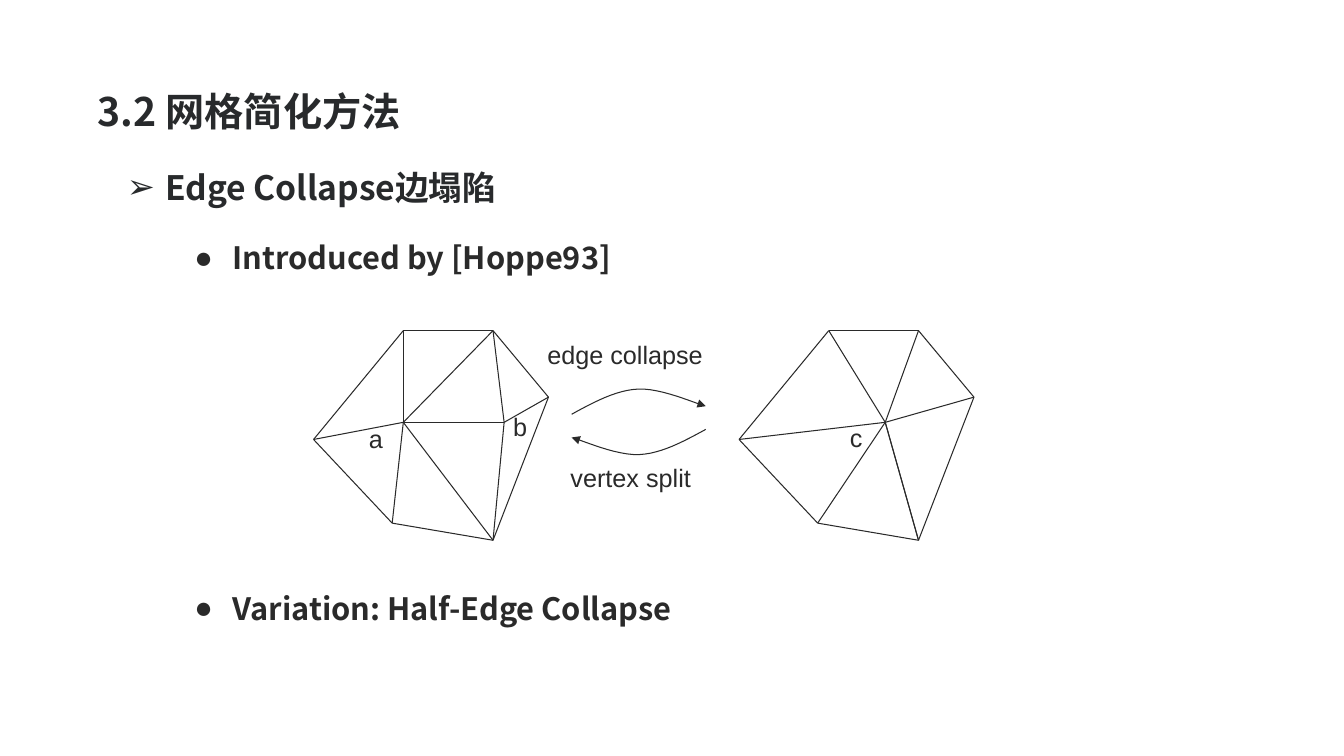
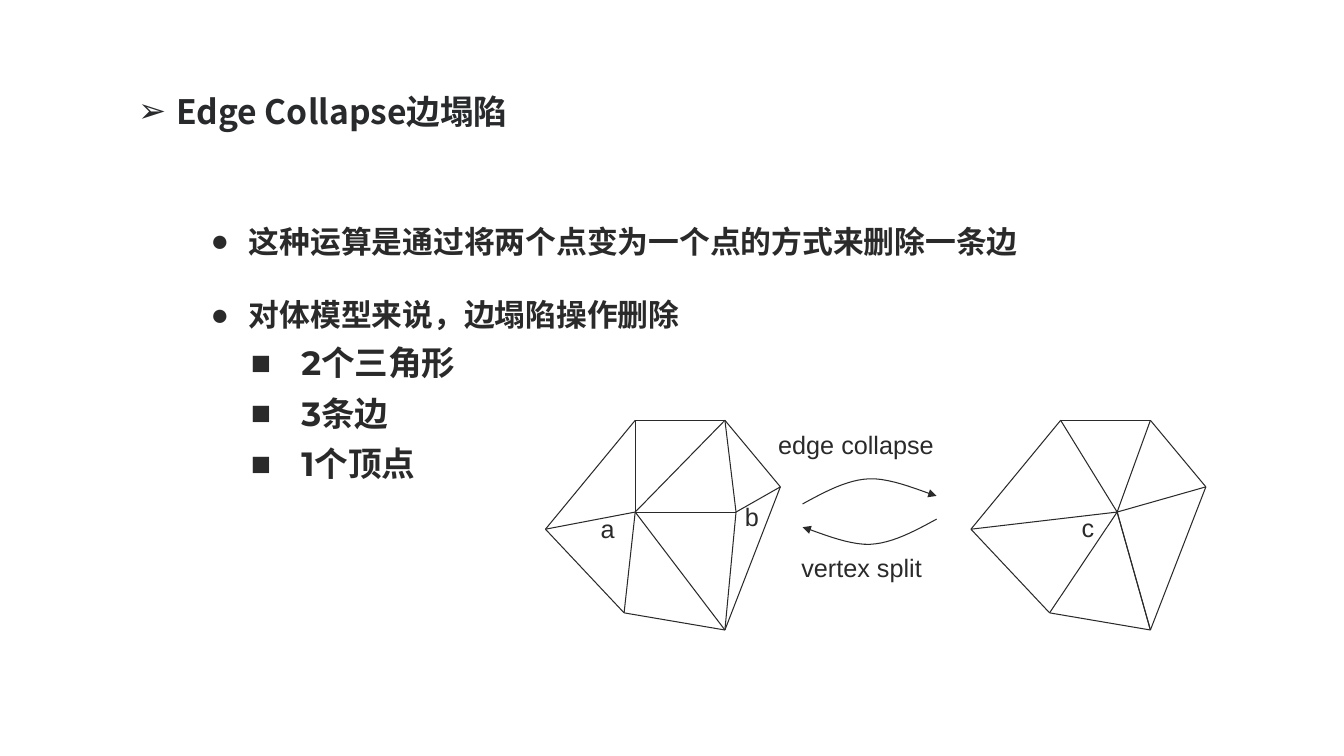
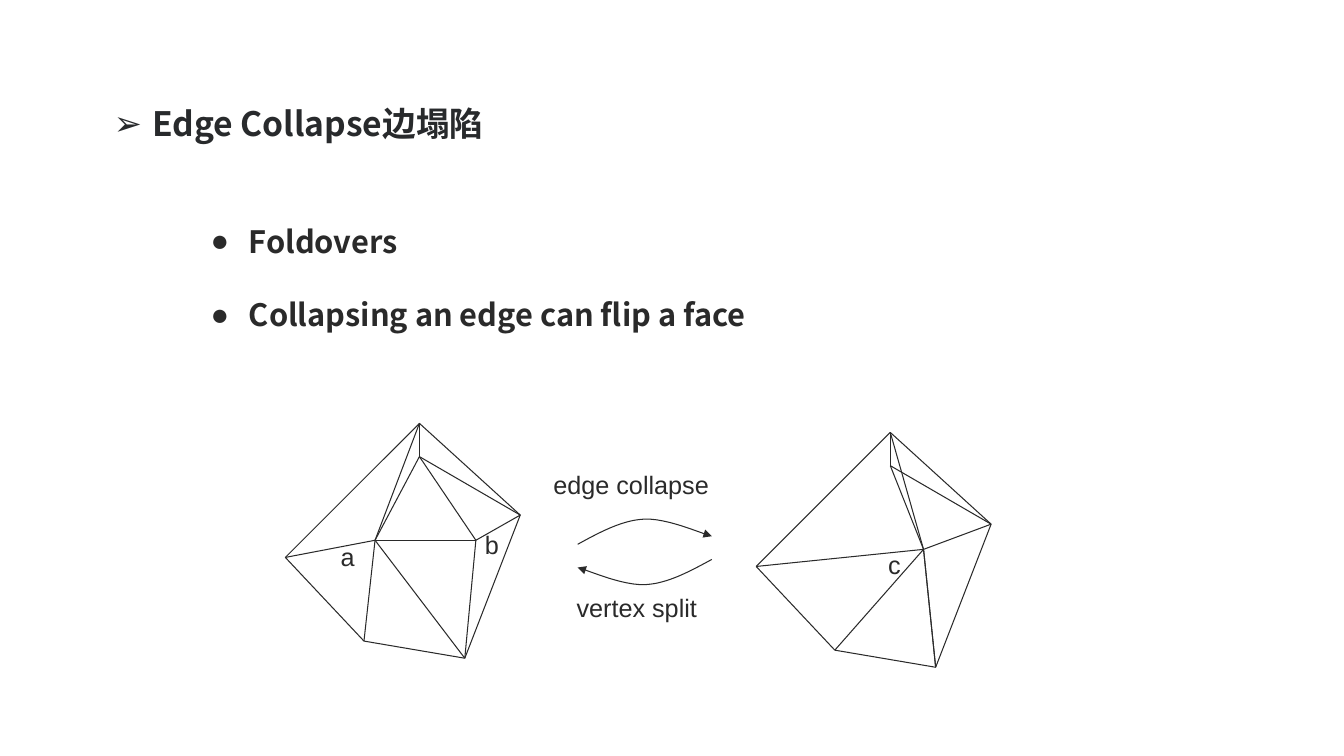
from lxml import etree
from pptx import Presentation
from pptx import util as u
from pptx.dml.color import RGBColor
from pptx.enum import shapes, text
from pptx.oxml.ns import qn

COLORS = {"title": "282A2C", "ink": "2A2A2A"}
CJK = "Noto Sans CJK SC"
HEADING = "Edge Collapse边塌陷"

# font, size, bold, colour, line spacing, space before, bullet, left margin, hanging indent
STYLES = {
    "title": (CJK, 28, True, "title", 0.9, 0, None, 0, 0),
    "heading": (CJK, 24, True, "title", 0.9, 18, "➢", 0.78, 0.38),
    "subheading": (CJK, 24, True, "title", 0.8, 18, "➢", 0.78, 0.38),
    "tight_point": (CJK, 22, True, "ink", 1.2, 18, "●", 1.45, 0.38),
    "point": (CJK, 22, True, "ink", 1.3, 18, "●", 1.45, 0.38),
    "detail": ("Montserrat", 24, True, "ink", 0.9, 10, "■", 1.97, 0.5),
    "label": ("Arial", 18, False, "ink", 1.0, 0, None, 0, 0),
}
TITLE_SIZE, BODY_SIZE = (11.5, 1.45), (11.5, 4.76)

# Mesh vertices, in inches from the mesh origin
RIM = {"w": (0, 1.08), "sw": (0.78, 1.91), "se": (1.78, 2.08), "e": (2.33, 0.66),
       "a": (0.89, 0.91), "b": (1.89, 0.91)}
CONVEX = {**RIM, "nw": (0.89, 0), "ne": (1.78, 0), "c": (1.45, 0.91)}
FOLDED = {**RIM, "nw": (1.33, -0.25), "ne": (1.33, 0.08), "c": (1.66, 0.91)}
EDGES = [edge.split("-") for edge in
         "w-nw w-a nw-a b-ne nw-ne ne-e b-e a-sw w-sw sw-se se-b se-e a-b a-ne a-se".split()]
FOLDED_EDGES = EDGES + [["nw", "e"]]
VERTEX_LABELS = {"a": (-0.44, -0.04, 0.34), "b": (-0.01, -0.16, 0.34), "c": (-0.45, -0.05, 0.33)}

# Two cubic segments; the return arrow is the same curve turned half round
COLLAPSE_CURVE = [(0, 0.26), (0.22, 0.14), (0.44, 0.02), (0.66, 0.01),
                  (0.89, 0), (1.22, 0.15), (1.33, 0.18)]
SPLIT_CURVE = [(1.33 - x, 0.67 - y) for x, y in COLLAPSE_CURVE]
STEPS = 12

SLIDES = [
    {"texts": [((0.92, 0.4), TITLE_SIZE, [("title", "3.2 网格简化方法")]),
               ((0.76, 1.63), (11.5, 1.5), [("subheading", HEADING),
                                            ("tight_point", "Introduced by [Hoppe93]")]),
               ((0.76, 5.64), (11.5, 0.8), [("point", "Variation: Half-Edge Collapse")])],
     "vertices": CONVEX, "edges": EDGES,
     "before": (3.11, 3.28), "after": (7.33, 3.28), "arrows": (5.67, 3.85)},
    {"texts": [((0.92, 0.4), TITLE_SIZE, [("heading", HEADING)]),
               ((0.92, 2), BODY_SIZE, [("point", "这种运算是通过将两个点变为一个点的方式来删除一条边"),
                                       ("point", "对体模型来说，边塌陷操作删除"),
                                       ("detail", "2个三角形"),
                                       ("detail", "3条边"),
                                       ("detail", "1个顶点")])],
     "vertices": CONVEX, "edges": EDGES,
     "before": (5.41, 4.17), "after": (9.63, 4.17), "arrows": (7.96, 4.74)},
    {"texts": [((0.68, 0.52), TITLE_SIZE, [("heading", HEADING)]),
               ((0.92, 2), BODY_SIZE, [("point", "Foldovers"),
                                       ("point", "Collapsing an edge can flip a face")])],
     "vertices": FOLDED, "edges": FOLDED_EDGES,
     "before": (2.83, 4.45), "after": (7.5, 4.54), "arrows": (5.73, 5.14)},
]


def add_text(s, at, size, lines):
    """Add a text box of (style name, wording) lines; titles are centred vertically."""
    sp = s.shapes.add_textbox(*map(u.Inches, at + size))
    tf = sp.text_frame
    first_style = lines[0][0]
    tf.word_wrap = first_style != "label"
    if first_style in ("title", "heading"):
        tf.vertical_anchor = text.MSO_ANCHOR.MIDDLE
    if first_style != "label":
        inset = u.Inches(0.05 if size == TITLE_SIZE else 0.1)
        tf.margin_left = tf.margin_right = tf.margin_top = tf.margin_bottom = inset
    for i, (style, wording) in enumerate(lines):
        font, pt, bold, color, spacing, before, bullet, margin, hang = STYLES[style]
        p = tf.add_paragraph() if i else tf.paragraphs[0]
        p.text = wording
        p.line_spacing = spacing
        if i:
            p.space_before = u.Pt(before)
        if bullet:
            pPr = p._p.get_or_add_pPr()
            pPr.set("marL", str(u.Inches(margin)))
            pPr.set("indent", str(-u.Inches(hang)))
            etree.SubElement(pPr, qn("a:buFont"), typeface="Arial")
            etree.SubElement(pPr, qn("a:buChar"), char=bullet)
        r = p.runs[0]
        r.font.name, r.font.size, r.font.bold = font, u.Pt(pt), bold
        r.font.color.rgb = RGBColor.from_string(COLORS[color])
        if style != "label":
            etree.SubElement(r._r.get_or_add_rPr(), qn("a:ea"), typeface=CJK)


def style_line(sp, arrow=False):
    sp.line.width = u.Pt(0.75)
    sp.line.color.rgb = RGBColor.from_string(COLORS["ink"])
    spPr = sp._element.spPr
    if arrow:
        etree.SubElement(spPr.find(qn("a:ln")), qn("a:tailEnd"), type="triangle")
    etree.SubElement(spPr, qn("a:effectLst"))


prs = Presentation()
prs.slide_width, prs.slide_height = u.Inches(13.33), u.Inches(7.5)

for spec_ in SLIDES:
    s = prs.slides.add_slide(prs.slide_layouts[6])
    for at, size, lines in spec_["texts"]:
        add_text(s, at, size, lines)

    # Collapsing merges a and b into c; duplicate edges and the edge a-b vanish
    merged = [tuple("c" if v in "ab" else v for v in edge) for edge in spec_["edges"]]
    collapsed = [edge for edge in dict.fromkeys(merged) if edge[0] != edge[1]]
    for (ox, oy), edges, names in ((spec_["before"], spec_["edges"], "ab"),
                                   (spec_["after"], collapsed, "c")):
        points = {v: (ox + x, oy + y) for v, (x, y) in spec_["vertices"].items()}
        for start, end in edges:
            style_line(s.shapes.add_connector(
                shapes.MSO_CONNECTOR.STRAIGHT, *map(u.Inches, points[start] + points[end])))
        for name in names:
            dx, dy, width = VERTEX_LABELS[name]
            x, y = points[name]
            add_text(s, (x + dx, y + dy), (width, 0.4), [("label", name)])

    ox, oy = spec_["arrows"]
    for curve, wording, dx, dy, width in ((COLLAPSE_CURVE, "edge collapse", -0.34, -0.53, 1.76),
                                          (SPLIT_CURVE, "vertex split", -0.11, 0.69, 1.41)):
        track = [curve[0]]
        for k in (0, 3):
            for step in range(1, STEPS + 1):
                t = step / STEPS
                weights = ((1 - t) ** 3, 3 * t * (1 - t) ** 2, 3 * t * t * (1 - t), t ** 3)
                track.append(tuple(sum(w * pt[axis] for w, pt in zip(weights, curve[k:k + 4]))
                                   for axis in (0, 1)))
        track = [(u.Inches(ox + x), u.Inches(oy + y)) for x, y in track]
        builder = s.shapes.build_freeform(*track[0])
        builder.add_line_segments(track[1:], close=False)
        sp = builder.convert_to_shape()
        sp.fill.background()
        style_line(sp, arrow=True)
        add_text(s, (ox + dx, oy + dy), (width, 0.4), [("label", wording)])

prs.save("out.pptx")
